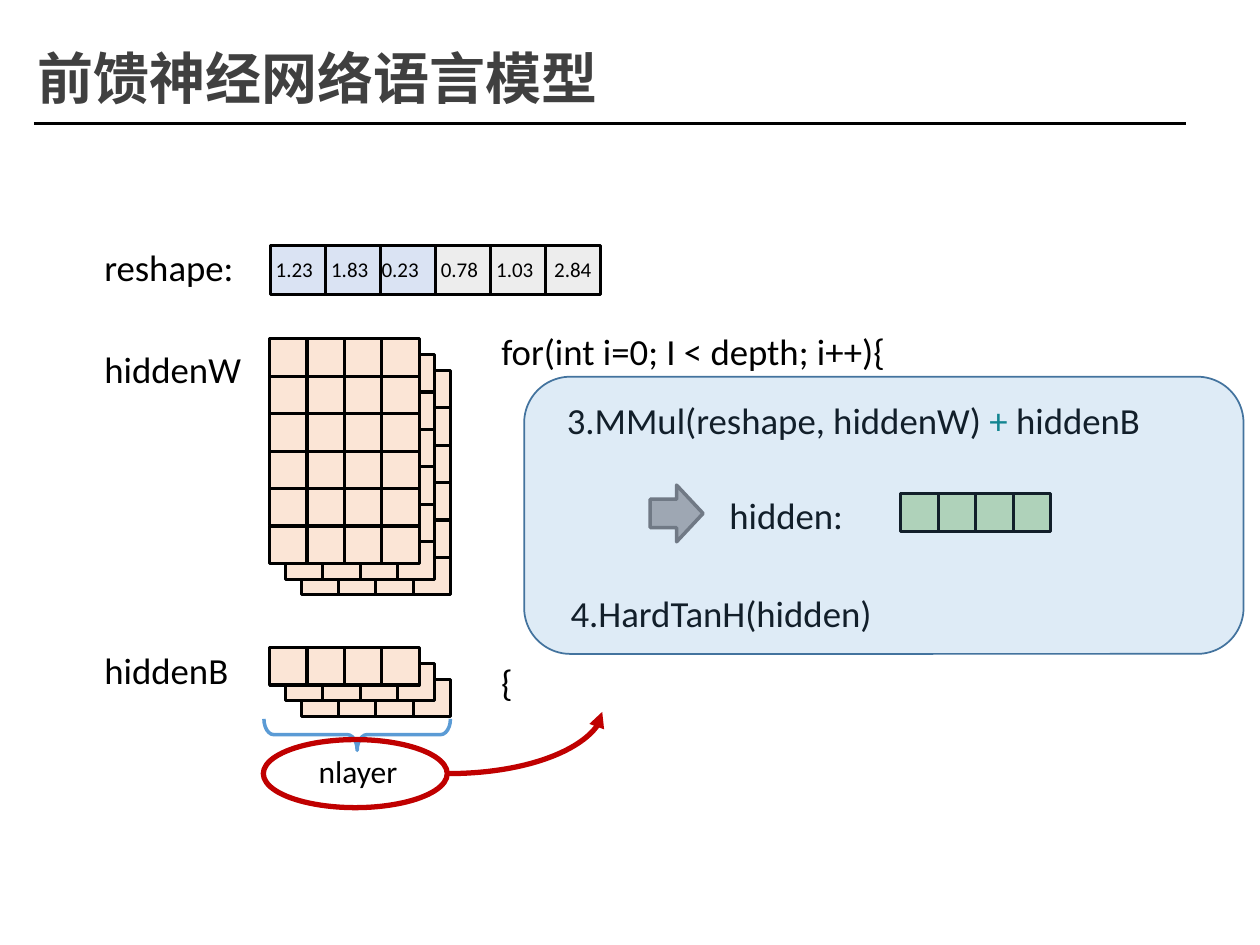
from dataclasses import dataclass

from lxml.etree import SubElement
from pptx import Presentation
from pptx.dml.color import RGBColor
from pptx.enum.shapes import MSO_CONNECTOR, MSO_SHAPE
from pptx.enum.text import MSO_ANCHOR
from pptx.oxml.ns import qn
from pptx.util import Inches, Pt


@dataclass(frozen=True)
class Theme:
    ink: str = "000000"
    title: str = "404040"
    plus: str = "008080"
    blue: str = "DAE3F3"
    pale: str = "EDEDED"
    peach: str = "FBE5D6"
    green: str = "C5E0B4"
    gray: str = "AFABAB"
    edge: str = "767171"
    brace: str = "5B9BD5"
    rim: str = "43739E"
    red: str = "C00000"
    font: str = "Calibri"
    han: str = "Noto Sans CJK SC"
    head: int = 32
    body: int = 21
    note: int = 18
    small: int = 12


T = Theme()
RGB = RGBColor.from_string

deck = Presentation()
deck.slide_width, deck.slide_height = Inches(10), Inches(7.5)
slide = deck.slides.add_slide(deck.slide_layouts[6])
shapes = slide.shapes


def draw(kind, box, fill, line, width, home=shapes):
    """Add a preset shape to home; a fill of None leaves it hollow."""
    shape = home.add_shape(kind, *map(Inches, box))
    shape.shadow.inherit = False
    if fill:
        shape.fill.solid()
        shape.fill.fore_color.rgb = RGB(fill)
    else:
        shape.fill.background()
    shape.line.color.rgb = RGB(line)
    shape.line.width = Pt(width)
    return shape


def write(box, runs, size=T.body):
    """Add a text box from (text, colour) runs."""
    frame = shapes.add_textbox(*map(Inches, box)).text_frame
    frame.word_wrap = True
    for text, color in runs:
        run = frame.paragraphs[0].add_run()
        run.text = text
        run.font.name = T.font
        run.font.size = Pt(size)
        run.font.color.rgb = RGB(color)
    return frame


# Cell grids, from back to front: left, top, rows, columns, width, height, fill
side = 0.297
grids = [(2.15, 1.95, 1, 3, 0.436, 0.39, T.blue),
         (3.46, 1.95, 1, 3, 0.436, 0.39, T.pale),
         (7.15, 3.92, 1, 4, side, side, T.green)]
for top, rows in ((2.69, 6), (5.14, 1)):
    for layer in (2, 1, 0):
        shift = 0.125 * layer
        grids.append((2.14 + shift, top + shift, rows, 4, side, side, T.peach))

for left, top, rows, cols, wide, high, fill in grids:
    group = shapes.add_group_shape()
    for row in range(rows):
        for col in range(cols):
            box = (left + col * wide, top + row * high, wide, high)
            draw(MSO_SHAPE.RECTANGLE, box, fill, T.ink, 1.75, group.shapes)

# Values of the reshape row
values = [(2.09, "1.23"), (2.53, "1.83"), (2.93, "0.23"),
          (3.4, "0.78"), (3.84, "1.03"), (4.3, "2.84")]
for left, value in values:
    write((left, 1.99, 0.63, 0.36), [(value, T.ink)], T.small)

# Labels and code
labels = [(0.73, 1.89, 1.44, "reshape:"),
          (0.73, 2.7, 1.68, "hiddenW"),
          (0.73, 5.09, 1.68, "hiddenB"),
          (5.69, 3.86, 1.23, "hidden:"),
          (4.43, 4.64, 3, "4.HardTanH(hidden)"),
          (3.88, 2.56, 4.08, "for(int i=0; I < depth; i++){"),
          (3.88, 5.19, 1.8, "{")]
for left, top, wide, text in labels:
    write((left, top, wide, 0.45), [(text, T.ink)])
write((4.4, 3.11, 5.02, 0.45),
      [("3.MMul(reshape, hiddenW) ", T.ink), ("+ ", T.plus), ("hiddenB", T.ink)])
write((2.43, 5.92, 0.95, 0.4), [("nlayer", T.ink)], T.note)

# Arrow, brace, loop body and layer count
draw(MSO_SHAPE.RIGHT_ARROW, (5.16, 3.85, 0.42, 0.45), T.gray, T.edge, 2)
brace = draw(MSO_SHAPE.LEFT_BRACE, (2.71, 5.09, 0.25, 1.48), None, T.brace, 2)
brace.rotation = 270
brace.adjustments[0] = 0.31
body = draw(MSO_SHAPE.ROUNDED_RECTANGLE, (4.16, 2.99, 5.71, 2.2), T.brace, T.rim, 1)
tint = next(body.fill._xPr.iter(qn("a:srgbClr")))
SubElement(tint, qn("a:alpha"), val="20000")
draw(MSO_SHAPE.OVAL, (2.09, 5.87, 1.46, 0.54), None, T.red, 3)

# Curved arrow to the loop, and the rule under the title
lines = [(MSO_CONNECTOR.CURVE, (3.55, 6.14, 4.78, 5.65), T.red, 3),
         (MSO_CONNECTOR.STRAIGHT, (0.27, 0.98, 9.41, 0.98), T.ink, 1.5)]
for kind, ends, color, width in lines:
    link = shapes.add_connector(kind, *map(Inches, ends))
    link.line.color.rgb = RGB(color)
    link.line.width = Pt(width)
    props = link._element.spPr
    SubElement(props, qn("a:effectLst"))
    if kind == MSO_CONNECTOR.CURVE:
        props.find(qn("a:prstGeom")).set("prst", "curvedConnector2")
        SubElement(props.find(qn("a:ln")), qn("a:tailEnd"), type="triangle")

# Title
title = write((0.2, 0.29, 4.86, 0.64), [("前馈神经网络语言模型", T.title)], T.head)
title.vertical_anchor = MSO_ANCHOR.MIDDLE
font = title.paragraphs[0].runs[0].font
font.name = T.han
font.bold = True
SubElement(font._element, qn("a:ea"), typeface=T.han)

deck.save("out.pptx")
